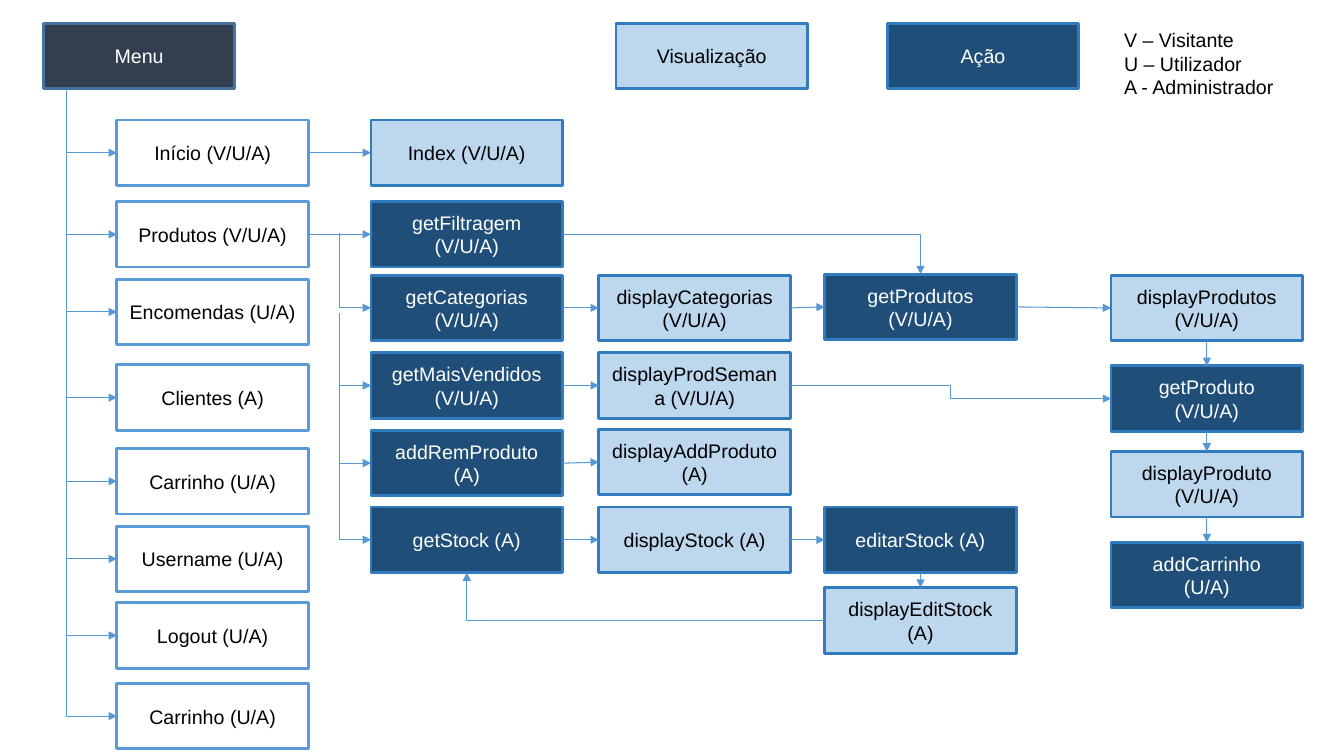
import pptx
import pptx.util
import pptx.dml.color
import pptx.enum.shapes
import pptx.enum.text
import pptx.oxml
import pptx.oxml.ns

Inches = pptx.util.Inches
Pt = pptx.util.Pt
LINK = pptx.enum.shapes.MSO_CONNECTOR

COLORS = {
    "dark": "333F50", "rim": "43739E", "white": "FFFFFF", "black": "000000",
    "sky": "5B9BD5", "pale": "BDD7EE", "navy": "1F4E79", "edge": "317CC1",
    "arrow": "5698D3",
}
# Fill, outline and text of each kind of box
KINDS = {
    "menu": ("dark", "rim", "white"),
    "item": ("white", "sky", "black"),
    "view": ("pale", "edge", "black"),
    "act": ("navy", "edge", "white"),
}
WIDE, HIGH = 1.9, 0.65
TOP, LEFT, BOTTOM, RIGHT = range(4)  # connection sites of a rectangle


def rgb(name):
    return pptx.dml.color.RGBColor.from_string(COLORS[name])


def write(frame, text, color, align):
    frame.word_wrap = True
    for num, line in enumerate(text.split("\n")):
        para = frame.add_paragraph() if num else frame.paragraphs[0]
        para.alignment = align
        run = para.add_run()
        run.text = line
        run.font.size = Pt(14)
        run.font.name = "Arial"
        run.font.color.rgb = rgb(color)


def box(slide, kind, text, left, top):
    fill, edge, ink = KINDS[kind]
    shape = slide.shapes.add_shape(
        pptx.enum.shapes.MSO_SHAPE.RECTANGLE,
        Inches(left), Inches(top), Inches(WIDE), Inches(HIGH))
    shape.shadow.inherit = False
    shape.fill.solid()
    shape.fill.fore_color.rgb = rgb(fill)
    shape.line.color.rgb = rgb(edge)
    shape.line.width = Pt(2)
    shape.text_frame.vertical_anchor = pptx.enum.text.MSO_ANCHOR.MIDDLE
    write(shape.text_frame, text, ink, pptx.enum.text.PP_ALIGN.CENTER)
    return shape


def arrow(slide, kind, x1=0, y1=0, x2=0, y2=0):
    line = slide.shapes.add_connector(
        kind, Inches(x1), Inches(y1), Inches(x2), Inches(y2))
    line.line.color.rgb = rgb("arrow")
    line.line.width = Pt(0.75)
    qn = pptx.oxml.ns.qn
    head = line.line._get_or_add_ln().makeelement(
        qn("a:tailEnd"), {"type": "triangle"})
    line.line._get_or_add_ln().append(head)
    props = line._element.spPr
    props.append(props.makeelement(qn("a:effectLst"), {}))
    return line


def corner(line):
    """Give an elbow a single bend."""
    line._element.spPr.prstGeom.set("prst", "bentConnector2")


def join(slide, start, out, end, into, kind=LINK.STRAIGHT):
    line = arrow(slide, kind)
    line.begin_connect(start, out)
    line.end_connect(end, into)
    return line


def branch(slide, x1, y1, x2, y2):
    """Go down, then right: a single bend turned by 270 degrees."""
    midx, midy = (x1 + x2) / 2, (y1 + y2) / 2
    dx, dy = (x2 - x1) / 2, (y2 - y1) / 2
    line = arrow(slide, LINK.ELBOW, midx + dy, midy - dx, midx - dy, midy + dx)
    corner(line)
    line._element.spPr.xfrm.set("rot", "16200000")


def trunk(slide, x, starts, ends, right):
    for start, end in zip(starts, ends):
        branch(slide, x, start, right, end)


# Menu and its entries
def menu(slide, left, top):
    box(slide, "menu", "Menu", left, top)
    entries = [
        ("Início (V/U/A)", 0.96), ("Produtos (V/U/A)", 1.77),
        ("Encomendas (U/A)", 2.54), ("Clientes (A)", 3.39),
        ("Carrinho (U/A)", 4.22), ("Username (U/A)", 4.99),
        ("Logout (U/A)", 5.75), ("Carrinho (U/A)", 6.55),
    ]
    items = [box(slide, "item", text, left + 0.73, top + drop)
             for text, drop in entries]
    ends = [top + drop + HIGH / 2 for _, drop in entries]
    trunk(slide, left + 0.23, [top + HIGH] + ends, ends, left + 0.73)
    return items


# Key to the colours and letters
def legend(slide, left, top):
    box(slide, "view", "Visualização", left, top)
    box(slide, "act", "Ação", left + 2.69, top)
    note = slide.shapes.add_textbox(
        Inches(left + 4.94), Inches(top), Inches(1.84), Inches(0.81))
    write(note.text_frame, "V – Visitante\nU – Utilizador\nA - Administrador",
          "black", pptx.enum.text.PP_ALIGN.LEFT)


# Actions and views opened from the menu
def flow(slide, left, top, items):
    cols = [0, 2.26, 4.5, 7.34]
    nodes = {
        "index": ("view", "Index (V/U/A)", 0, 0),
        "filter": ("act", "getFiltragem (V/U/A)", 0, 0.81),
        "cats": ("act", "getCategorias (V/U/A)", 0, 1.54),
        "best": ("act", "getMaisVendidos (V/U/A)", 0, 2.31),
        "add": ("act", "addRemProduto (A)", 0, 3.08),
        "stock": ("act", "getStock (A)", 0, 3.84),
        "catview": ("view", "displayCategorias (V/U/A)", 1, 1.54),
        "week": ("view", "displayProdSemana (V/U/A)", 1, 2.31),
        "addview": ("view", "displayAddProduto (A)", 1, 3.07),
        "stockview": ("view", "displayStock (A)", 1, 3.84),
        "prods": ("act", "getProdutos\n(V/U/A)", 2, 1.53),
        "edit": ("act", "editarStock (A)", 2, 3.84),
        "editview": ("view", "displayEditStock (A)", 2, 4.64),
        "prodsview": ("view", "displayProdutos (V/U/A)", 3, 1.54),
        "prod": ("act", "getProduto\n(V/U/A)", 3, 2.44),
        "prodview": ("view", "displayProduto (V/U/A)", 3, 3.29),
        "cart": ("act", "addCarrinho\n(U/A)", 3, 4.19),
    }
    made = {name: box(slide, kind, text, left + cols[col], top + drop)
            for name, (kind, text, col, drop) in nodes.items()}

    # Straight arrows across and down
    join(slide, items[0], RIGHT, made["index"], LEFT)
    join(slide, items[1], RIGHT, made["filter"], LEFT)
    for start, end in [("cats", "catview"), ("best", "week"),
                       ("add", "addview"), ("stock", "stockview"),
                       ("stockview", "edit"), ("catview", "prods"),
                       ("prods", "prodsview")]:
        join(slide, made[start], RIGHT, made[end], LEFT)
    for start, end in [("prodsview", "prod"), ("prod", "prodview"),
                       ("prodview", "cart"), ("edit", "editview")]:
        join(slide, made[start], BOTTOM, made[end], TOP)

    # Branches of the product entry
    ends = [top + nodes[name][3] + HIGH / 2
            for name in ("cats", "best", "add", "stock")]
    starts = [top + 1.12, top + 1.92] + ends[1:3]
    trunk(slide, left - 0.31, starts, ends, left)

    # Bent arrows
    corner(join(slide, made["filter"], RIGHT, made["prods"], TOP, LINK.ELBOW))
    join(slide, made["week"], RIGHT, made["prod"], LEFT, LINK.ELBOW)
    corner(join(slide, made["editview"], LEFT, made["stock"], BOTTOM,
                LINK.ELBOW))


def main():
    deck = pptx.Presentation()
    deck.slide_width, deck.slide_height = Inches(13.33), Inches(7.5)
    slide = deck.slides.add_slide(deck.slide_layouts[6])
    items = menu(slide, 0.43, 0.23)
    legend(slide, 6.11, 0.23)
    flow(slide, 3.68, 1.19, items)
    deck.save("out.pptx")


if __name__ == "__main__":
    main()
